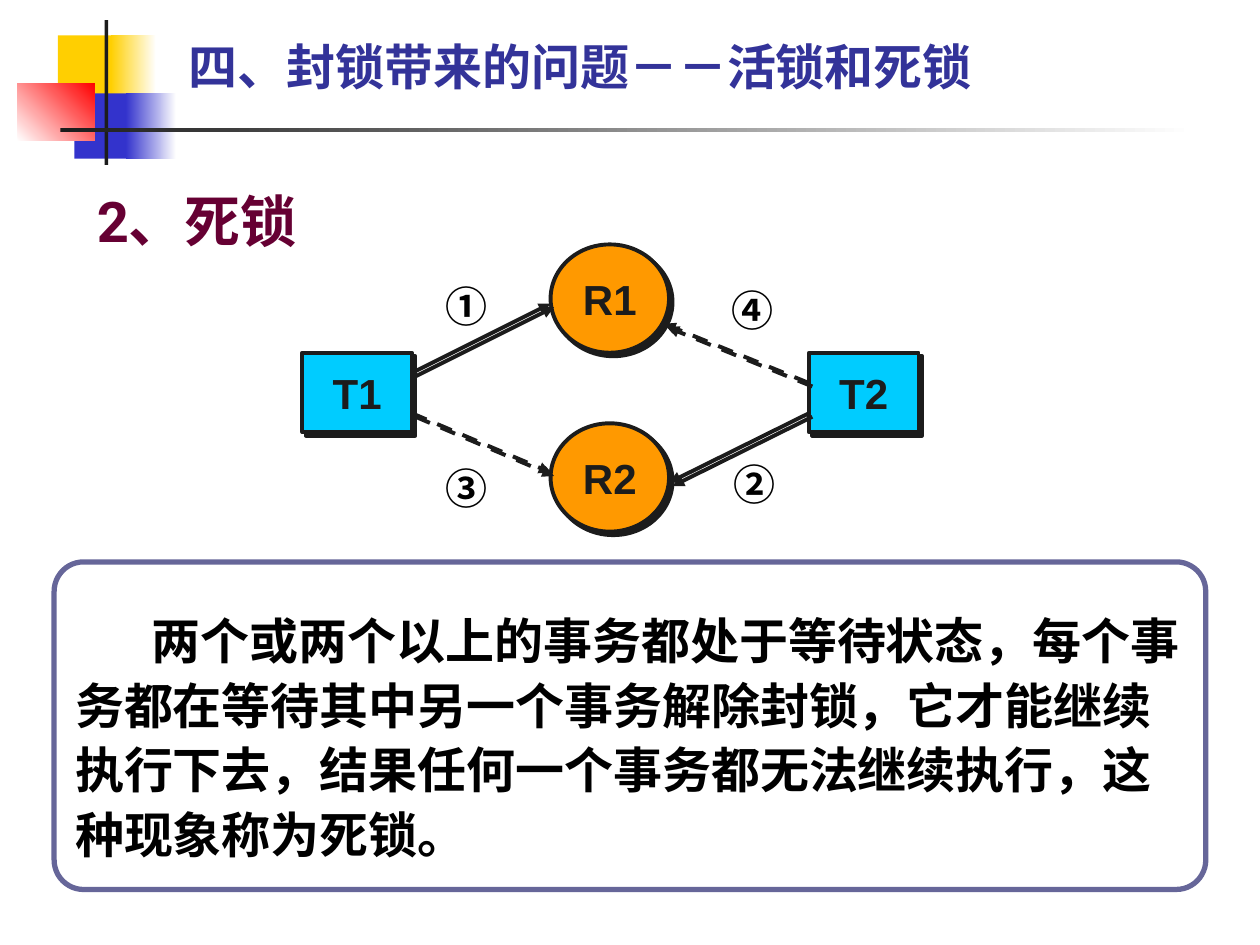
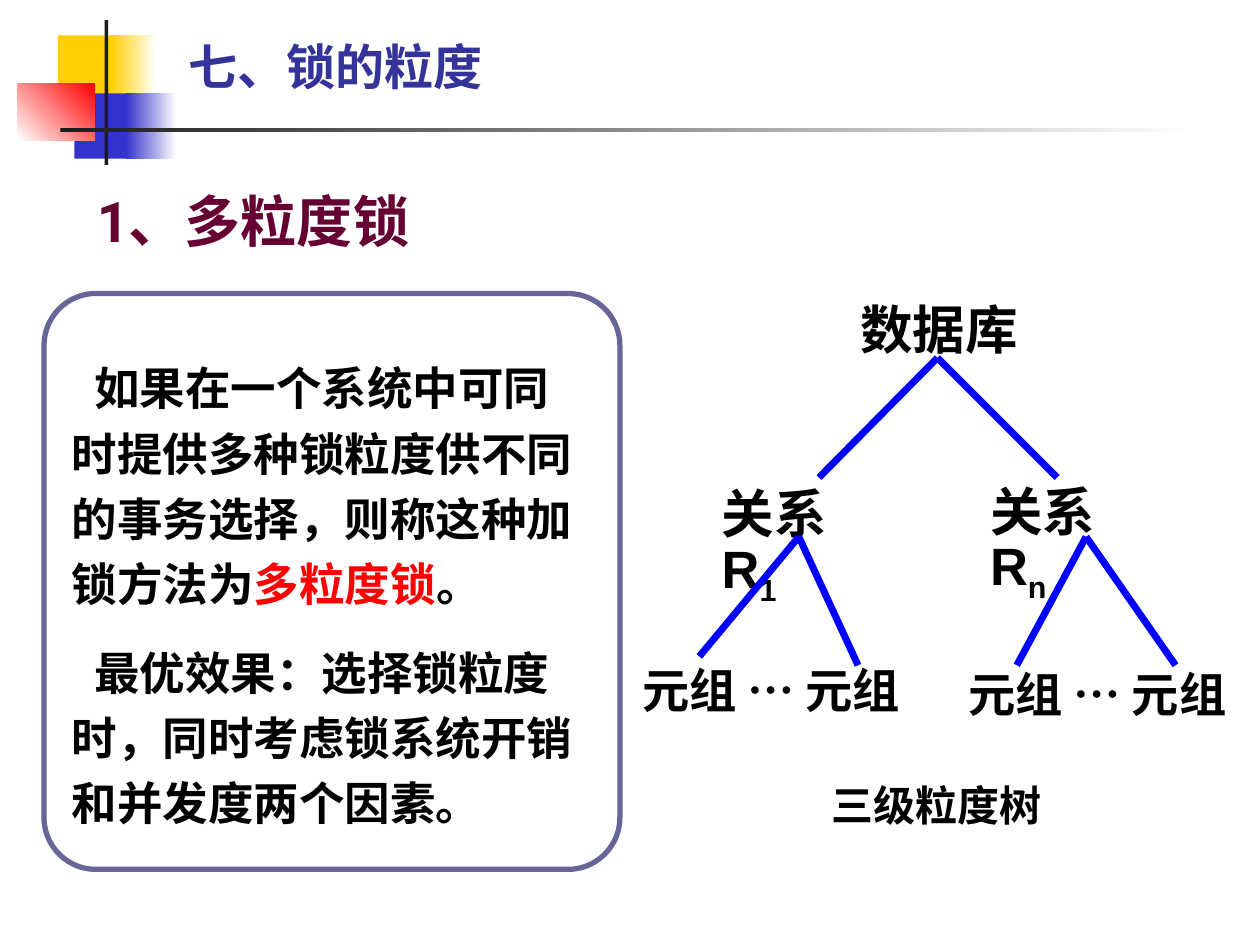
from lxml import etree
from pptx import Presentation
from pptx.dml.color import RGBColor
from pptx.enum.dml import MSO_LINE
from pptx.enum.shapes import MSO_CONNECTOR, MSO_SHAPE
from pptx.enum.text import MSO_ANCHOR, PP_ALIGN
from pptx.oxml.ns import qn
from pptx.util import Inches, Pt

RECT, ROUND = MSO_SHAPE.RECTANGLE, MSO_SHAPE.ROUNDED_RECTANGLE
CIRCLE = MSO_SHAPE.FLOWCHART_CONNECTOR
STRAIGHT, DASH = MSO_CONNECTOR.STRAIGHT, MSO_LINE.DASH
TOP, MIDDLE = MSO_ANCHOR.TOP, MSO_ANCHOR.MIDDLE
LEFT, CENTER = PP_ALIGN.LEFT, PP_ALIGN.CENTER

BLACK = RGBColor(0x00, 0x00, 0x00)
WHITE = RGBColor(0xFF, 0xFF, 0xFF)
INK = RGBColor(0x1C, 0x1C, 0x1C)
GOLD = RGBColor(0xFF, 0xCF, 0x01)
INDIGO = RGBColor(0x33, 0x33, 0xCC)
RED = RGBColor(0xFF, 0x00, 0x00)
NAVY = RGBColor(0x33, 0x33, 0x99)
WINE = RGBColor(0x66, 0x00, 0x33)
SLATE = RGBColor(0x66, 0x66, 0x99)
ORANGE = RGBColor(0xFF, 0x99, 0x00)
CYAN = RGBColor(0x00, 0xCC, 0xFF)
BLUE = RGBColor(0x00, 0x00, 0xFF)

CJK, SANS, HEAD = "Noto Sans CJK SC", "Arial", "Roboto"

# Place, colours and gradient angle of the corner ornament
BANDS = [
    ((0.46, 0.28, 0.48, 0.52), [GOLD], 0),
    ((0.88, 0.28, 0.36, 0.52), [GOLD, WHITE], 0),
    ((0.59, 0.74, 0.46, 0.52), [INDIGO], 0),
    ((1, 0.74, 0.4, 0.52), [INDIGO, WHITE], 0),
    ((0.14, 0.66, 0.61, 0.46), [WHITE, RED], 45),
    ((0.83, 0.16, 0.03, 1.15), [INK], 0),
    ((0.48, 1.02, 9, 0.03), [INK, WHITE], 0),
]

# A paragraph is a list of runs: (text, format)
DEADLOCK = [[(
    "两个或两个以上的事务都处于等待状态，每个事务都在等待其中另一个事务解除封锁，"
    "它才能继续执行下去，结果任何一个事务都无法继续执行，这种现象称为死锁。", {})]]
GRAIN = [
    [("如果在一个系统中可同时提供多种锁粒度供不同的事务选择，则称这种加锁方法为", {}),
     ("多粒度锁", {"color": RED}), ("。", {})],
    [("最优效果：选择锁粒度时，同时考虑锁系统开销和并发度两个因素。", {})],
]

NODES = [
    ("R1", CIRCLE, (4.37, 1.94, 0.94, 0.86), ORANGE),
    ("R2", CIRCLE, (4.37, 3.36, 0.94, 0.86), ORANGE),
    ("T1", RECT, (2.4, 2.8, 0.87, 0.63), CYAN),
    ("T2", RECT, (6.42, 2.8, 0.87, 0.63), CYAN),
]
# Start, end, dash; each arrow runs from a transaction to a resource
LOCKS = [
    ((3.27, 2.96), (4.37, 2.41), None),
    ((6.42, 3.28), (5.31, 3.83), None),
    ((3.27, 3.28), (4.37, 3.75), DASH),
    ((6.42, 3.04), (5.27, 2.57), DASH),
]
STEPS = [("①", 3.44, 2.15), ("②", 5.72, 3.56), ("④", 5.71, 2.18), ("③", 3.44, 3.59)]

# Runs, left, top, width, size
LABELS = [
    ([("数据库", {})], 6.73, 2.28, 1.6, 30),
    ([("关系R", {}), ("1", {"sub": True})], 5.63, 3.74, 1.3, 30),
    ([("关系R", {}), ("n", {"sub": True})], 7.76, 3.72, 1.3, 30),
    ([("元组 … 元组", {})], 5, 5.17, 2.4, 27),
    ([("元组 … 元组", {})], 7.59, 5.2, 2.4, 27),
    ([("三级粒度树", {})], 6.5, 6.11, 2.1, 24),
]
# Each parent point with its child points
TREE = {
    (7.44, 2.84): [(6.5, 3.79), (8.39, 3.79)],
    (6.34, 4.26): [(5.55, 5.21), (6.81, 5.28)],
    (8.62, 4.26): [(8.07, 5.28), (9.33, 5.28)],
}


def box(place):
    return [Inches(v) for v in place]


def write(shape, paras, size, font=CJK, color=BLACK, anchor=TOP, align=LEFT,
          pitch=None, first=0, hang=0, gap=0, top=0.05, wrap=True):
    """Fill a shape with paragraphs; pitch and gap are in points."""
    frame = shape.text_frame
    frame.word_wrap, frame.vertical_anchor = wrap, anchor
    frame.margin_top = Inches(top)
    for i, runs in enumerate(paras):
        para = frame.add_paragraph() if i else frame.paragraphs[0]
        para.alignment = align
        props = para._p.get_or_add_pPr()
        props.set("marL", str(Inches(hang)))
        props.set("indent", str(Inches(first - hang)))
        if pitch:
            para.line_spacing = Pt(pitch)
        if i:
            para.space_before = Pt(gap)
        for words, form in runs:
            run = para.add_run()
            run.text = words
            run.font.size, run.font.bold, run.font.name = Pt(size), True, font
            run.font.color.rgb = form.get("color", color)
            mark = run._r.get_or_add_rPr()
            etree.SubElement(mark, qn("a:ea")).set("typeface", CJK)
            if form.get("sub"):
                mark.set("baseline", "-25000")


def label(slide, place, runs, size, **form):
    write(slide.shapes.add_textbox(*box(place)), [runs], size, **form)


def shade(shape):
    """Give a hard dark shadow to the lower right."""
    props = shape._element.spPr
    for old in props.findall(qn("a:effectLst")):
        props.remove(old)
    cast = etree.SubElement(etree.SubElement(props, qn("a:effectLst")),
                            qn("a:outerShdw"), dist=str(Pt(2.8)),
                            dir="2700000", algn="ctr", rotWithShape="0")
    etree.SubElement(cast, qn("a:srgbClr"), val=str(INK))


def block(slide, kind, place, fills, angle=0, edge=None, width=0):
    shape = slide.shapes.add_shape(kind, *box(place))
    shape.shadow.inherit = False
    if len(fills) == 1:
        shape.fill.solid()
        shape.fill.fore_color.rgb = fills[0]
    else:
        shape.fill.gradient()
        shape.fill.gradient_angle = angle
        for stop, color in zip(shape.fill.gradient_stops, fills):
            stop.color.rgb = color
    if edge is None:
        shape.line.fill.background()
    else:
        shape.line.color.rgb, shape.line.width = edge, Pt(width)
    return shape


def link(slide, start, end, color, width, dash=None, arrow=False):
    line = slide.shapes.add_connector(STRAIGHT, *box(start + end))
    line.line.color.rgb, line.line.width = color, Pt(width)
    if dash:
        line.line.dash_style = dash
    if arrow:
        etree.SubElement(line.line._get_or_add_ln(), qn("a:tailEnd"), type="triangle")
        shade(line)
    else:
        etree.SubElement(line._element.spPr, qn("a:effectLst"))


def start(deck, title, head):
    """Add a slide with the ornament, title and heading."""
    slide = deck.slides.add_slide(deck.slide_layouts[6])
    for place, fills, angle in BANDS:
        block(slide, RECT, place, fills, angle)
    label(slide, (1.4, 0.31, 7.28, 0.43), [(title, {})], 28, color=NAVY, anchor=MIDDLE)
    label(slide, (0.67, 1.3, 7.24, 0.72), [(head, {})], 32, font=HEAD, color=WINE,
          pitch=48, hang=0.38)
    return slide


def panel(slide, place, paras, size, **form):
    shape = block(slide, ROUND, place, [WHITE], edge=SLATE, width=3)
    shape.adjustments[0] = 0.09
    write(shape, paras, size, anchor=MIDDLE, top=0.18, **form)


def locks(deck):
    slide = start(deck, "四、封锁带来的问题－－活锁和死锁", "2、死锁")
    panel(slide, (0.43, 4.46, 9.14, 2.6), DEADLOCK, 28, font=SANS, pitch=37, first=0.61)
    for name, kind, place, fill in NODES:
        node = block(slide, kind, place, [fill], edge=INK, width=2.25)
        shade(node)
        write(node, [[(name, {})]], 24, font=SANS, color=INK, anchor=MIDDLE,
              align=CENTER, wrap=False)
    for tail, tip, dash in LOCKS:
        link(slide, tail, tip, INK, 2.25, dash, arrow=True)
    for sign, left, top in STEPS:
        label(slide, (left, top, 0.54, 0.5), [(sign, {})], 24, pitch=28.8, top=0.08)


def grains(deck):
    slide = start(deck, "七、锁的粒度", "1、多粒度锁")
    panel(slide, (0.35, 2.33, 4.57, 4.57), GRAIN, 26, pitch=37.4, first=0.18, gap=13)
    for runs, left, top, width, size in LABELS:
        label(slide, (left, top, width, 0.6), runs, size, font=SANS,
              pitch=size * 1.2, top=0.08)
    for parent, kids in TREE.items():
        for kid in kids:
            link(slide, parent, kid, BLUE, 4)


def main():
    deck = Presentation()
    deck.slide_width, deck.slide_height = Inches(10), Inches(7.5)
    locks(deck)
    grains(deck)
    deck.save("out.pptx")


if __name__ == "__main__":
    main()
